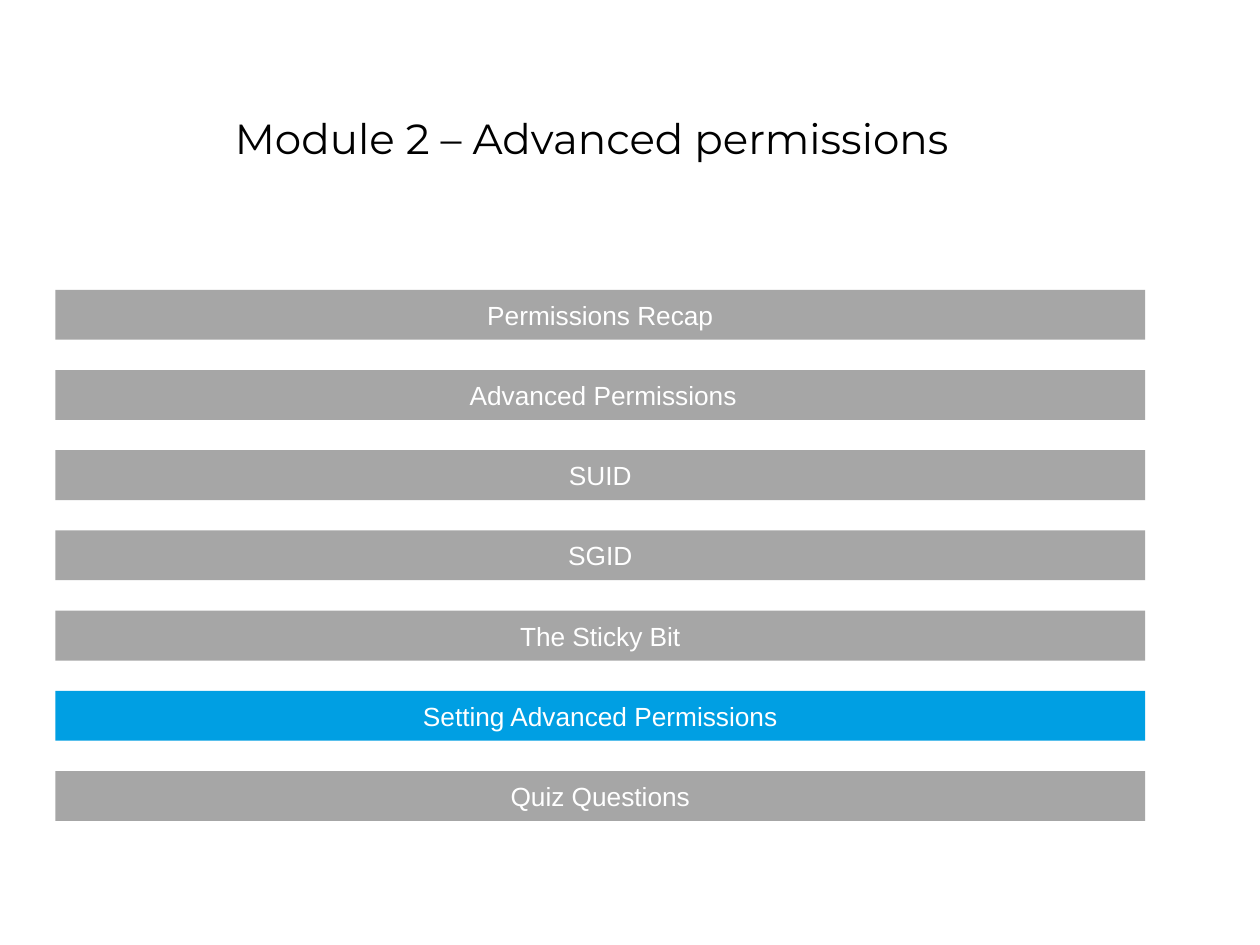
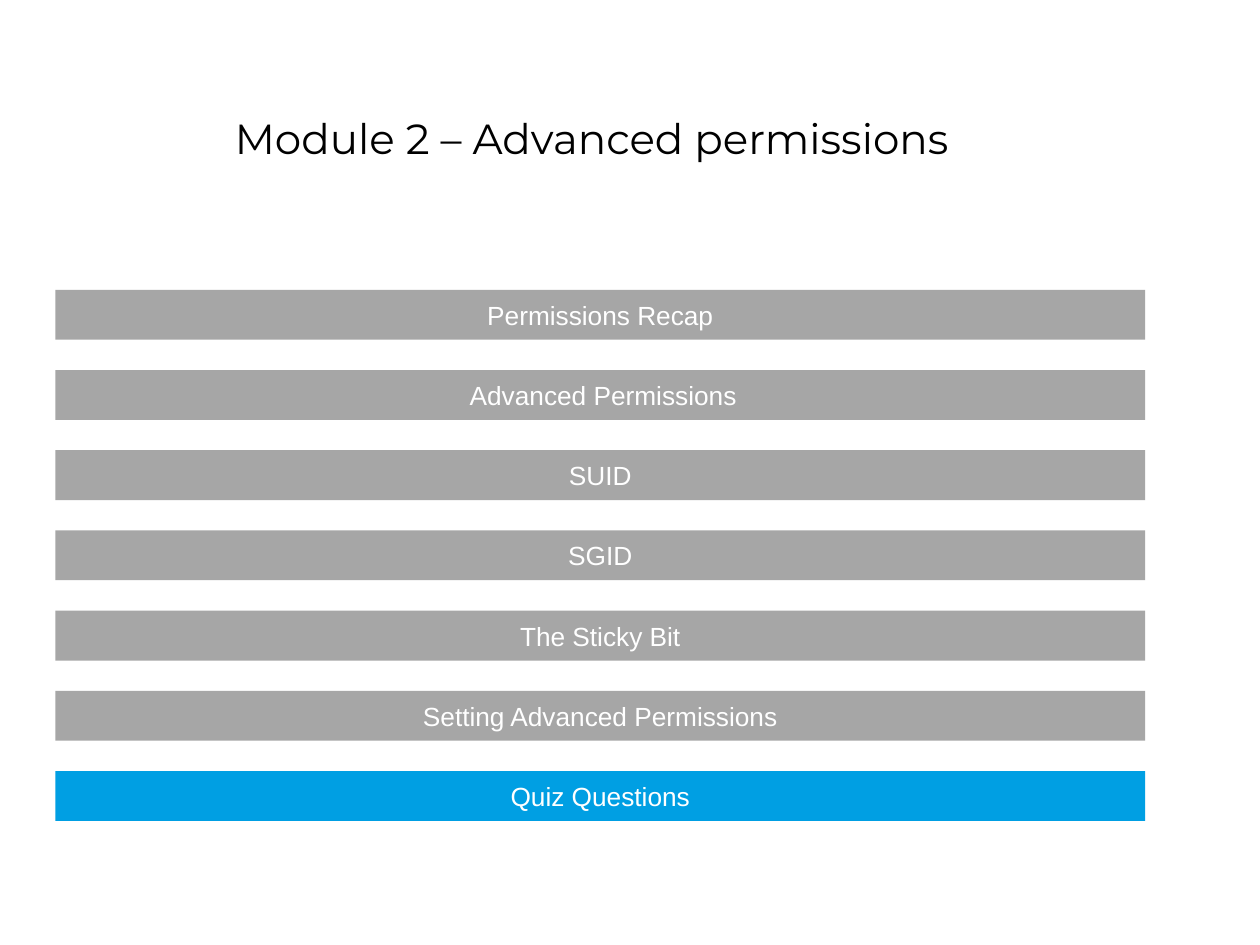
from dataclasses import dataclass

from pptx import Presentation
from pptx.dml.color import RGBColor
from pptx.enum.shapes import MSO_SHAPE
from pptx.enum.text import MSO_ANCHOR, MSO_AUTO_SIZE, PP_ALIGN
from pptx.slide import Slide
from pptx.text.text import TextFrame
from pptx.util import Pt

RECTANGLE = MSO_SHAPE.RECTANGLE
MIDDLE = MSO_ANCHOR.MIDDLE
CENTER = PP_ALIGN.CENTER
NO_AUTOFIT = MSO_AUTO_SIZE.NONE

COLOURS = {
    "topic": "A6A6A6",
    "current_topic": "009FE3",
    "topic_text": "FFFFFF",
    "heading": "000000",
}

TITLE_ONLY = 5
MODULE_HEADING = "Module 2 – Advanced permissions"
TOPICS = (
    "Permissions Recap",
    " Advanced Permissions",
    "SUID",
    "SGID",
    "The Sticky Bit",
    "Setting Advanced Permissions",
    "Quiz Questions",
)
CURRENT_TOPICS = ("Setting Advanced Permissions", "Quiz Questions")

AGENDA_LEFT, AGENDA_TOP = 31.6, 165.6
TOPIC_WIDTH, TOPIC_HEIGHT = 622.8, 28.5
TOPIC_PITCH = 45.84


@dataclass(frozen=True)
class TextStyle:
    font: str
    size: float
    colour: str


@dataclass(frozen=True)
class TopicBar:
    label: str
    row: int
    is_current: bool


HEADING_STYLE = TextStyle("Montserrat", 24, "heading")
TOPIC_STYLE = TextStyle("Arial", 15, "topic_text")


def colour(name: str) -> RGBColor:
    return RGBColor.from_string(COLOURS[name])


def write_centred(frame: TextFrame, text: str, style: TextStyle) -> None:
    frame.word_wrap = True
    frame.auto_size = NO_AUTOFIT
    frame.vertical_anchor = MIDDLE
    line = frame.paragraphs[0]
    line.alignment = CENTER
    run = line.add_run()
    run.text = text
    run.font.name = style.font
    run.font.size = Pt(style.size)
    run.font.color.rgb = colour(style.colour)


def draw_heading(slide: Slide) -> None:
    heading = slide.shapes.title
    heading.left, heading.top = Pt(12.24), Pt(61.2)
    heading.width, heading.height = Pt(651.6), Pt(34.56)
    frame = heading.text_frame
    frame.margin_left = frame.margin_right = Pt(5)
    frame.margin_top = frame.margin_bottom = Pt(2.9)
    write_centred(frame, MODULE_HEADING, HEADING_STYLE)


def draw_topic(slide: Slide, topic: TopicBar) -> None:
    bar = slide.shapes.add_shape(
        RECTANGLE,
        Pt(AGENDA_LEFT),
        Pt(AGENDA_TOP + topic.row * TOPIC_PITCH),
        Pt(TOPIC_WIDTH),
        Pt(TOPIC_HEIGHT),
    )
    bar.shadow.inherit = False
    bar.fill.solid()
    bar.fill.fore_color.rgb = colour("current_topic" if topic.is_current else "topic")
    bar.line.fill.background()
    write_centred(bar.text_frame, topic.label, TOPIC_STYLE)


def main() -> None:
    deck = Presentation()
    deck.slide_width, deck.slide_height = Pt(720), Pt(540)
    for current in CURRENT_TOPICS:
        slide = deck.slides.add_slide(deck.slide_layouts[TITLE_ONLY])
        draw_heading(slide)
        for row, label in enumerate(TOPICS):
            draw_topic(slide, TopicBar(label, row, label == current))
    deck.save("out.pptx")


if __name__ == "__main__":
    main()
